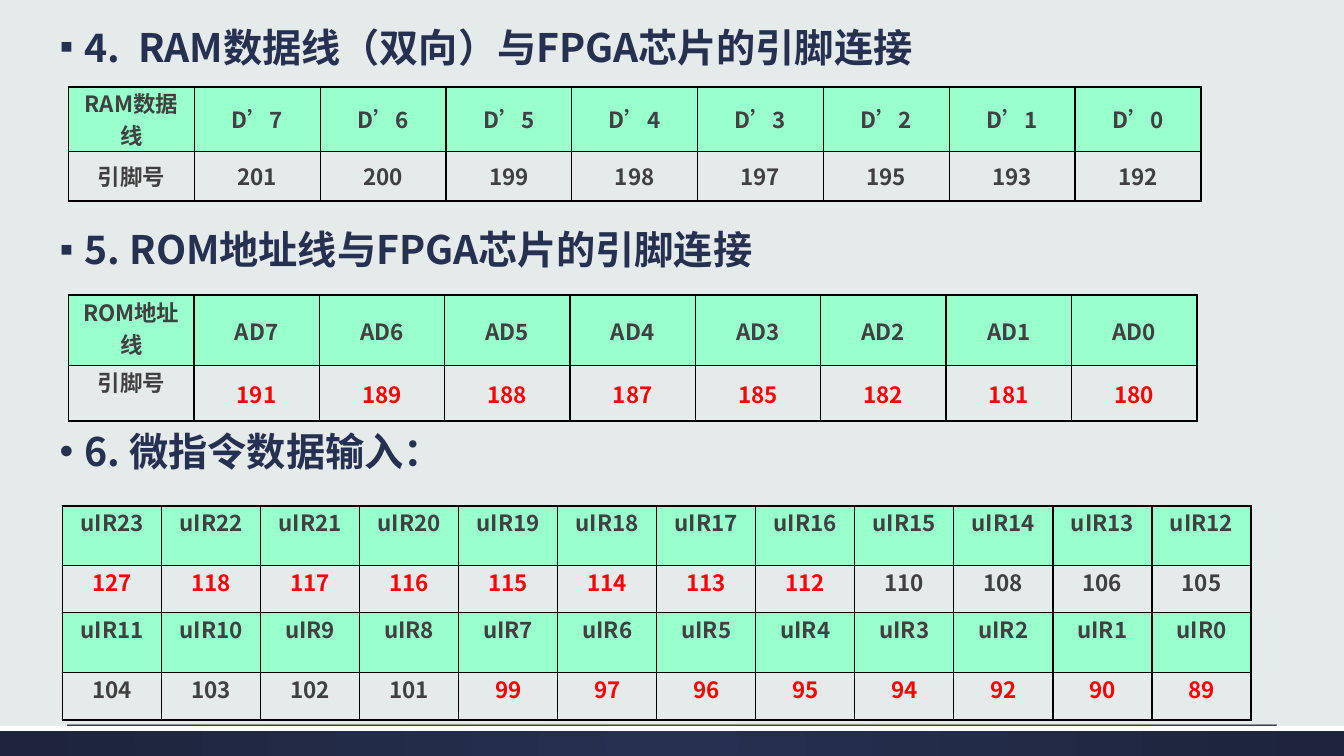
from itertools import groupby

from lxml import etree
from pptx import Presentation
from pptx.dml.color import RGBColor
from pptx.enum.shapes import MSO_CONNECTOR, MSO_SHAPE
from pptx.enum.text import MSO_ANCHOR, MSO_AUTO_SIZE, PP_ALIGN
from pptx.oxml.ns import qn
from pptx.util import Emu, Inches, Pt

TOP, MIDDLE = MSO_ANCHOR.TOP, MSO_ANCHOR.MIDDLE
LEFT, CENTER = PP_ALIGN.LEFT, PP_ALIGN.CENTER
RECTANGLE = MSO_SHAPE.RECTANGLE
STRAIGHT = MSO_CONNECTOR.STRAIGHT

PALE_GREY = RGBColor(0xE5, 0xEA, 0xEA)
NAVY = RGBColor(0x26, 0x30, 0x50)
DARK_NAVY = RGBColor(0x1D, 0x24, 0x3C)
WHITE = RGBColor(0xFF, 0xFF, 0xFF)
MINT = RGBColor(0x99, 0xFF, 0xCC)
CHARCOAL = RGBColor(0x40, 0x40, 0x40)
RED = RGBColor(0xFF, 0x00, 0x00)
RULE_GREY = RGBColor(0x90, 0x90, 0x90)

SANS, SERIF = "Noto Sans CJK SC", "Times New Roman"
SLIDE_WIDTH, SLIDE_HEIGHT = 13.33, 7.5
OUTER_LINE, INNER_LINE = 1.5, 1

HEADINGS = [
    ("▪", "4.  RAM数据线（双向）与FPGA芯片的引脚连接"),
    ("▪", "5. ROM地址线与FPGA芯片的引脚连接"),
    ("•", "6. 微指令数据输入："),
]
RAM_PINS = [
    ["RAM数据线"] + [f"D’{bit}" for bit in range(7, -1, -1)],
    ["引脚号", 201, 200, 199, 198, 197, 195, 193, 192],
]
ROM_PINS = [
    ["ROM地址线"] + [f"AD{bit}" for bit in range(7, -1, -1)],
    ["引脚号", 191, 189, 188, 187, 185, 182, 181, 180],
]
MICRO_PINS = [
    [f"uIR{bit}" for bit in range(23, 11, -1)],
    [127, 118, 117, 116, 115, 114, 113, 112, 110, 108, 106, 105],
    [f"uIR{bit}" for bit in range(11, -1, -1)],
    [104, 103, 102, 101, 99, 97, 96, 95, 94, 92, 90, 89],
]


def write(paragraph, text, size=16, color=CHARCOAL, align=CENTER, cjk_font=SANS):
    """Fill a paragraph, with one run for each stretch of Chinese or other text."""
    paragraph.alignment = align
    if cjk_font == SANS:
        pieces = [(False, text)]
    else:
        pieces = [(cjk, "".join(chars))
                  for cjk, chars in groupby(text, lambda char: char >= "一")]
    for cjk, piece in pieces:
        run = paragraph.add_run()
        run.text = piece
        run.font.size, run.font.bold = Pt(size), True
        run.font.color.rgb = color
        run.font.name = cjk_font if cjk else SANS
        east_asian = etree.SubElement(run.font._element, qn("a:ea"))
        east_asian.set("typeface", SANS)


def set_bullet(paragraph, symbol):
    properties = paragraph._p.get_or_add_pPr()
    properties.set("marL", str(Inches(0.3)))
    properties.set("indent", str(Inches(-0.25)))
    bullet_color = etree.SubElement(properties, qn("a:buClr"))
    etree.SubElement(bullet_color, qn("a:srgbClr")).set("val", str(NAVY))
    etree.SubElement(properties, qn("a:buChar")).set("char", symbol)


def fill_headings(body, left, top, width, height):
    """Space the three headings evenly so that a table fits below each."""
    body.left, body.top = Inches(left), Inches(top)
    body.width, body.height = Inches(width), Inches(height)
    frame = body.text_frame
    frame.auto_size, frame.vertical_anchor = MSO_AUTO_SIZE.NONE, TOP
    for index, (symbol, heading) in enumerate(HEADINGS):
        paragraph = frame.add_paragraph() if index else frame.paragraphs[0]
        paragraph.line_spacing = 0.8
        paragraph.space_before = Pt(117.5 if index else 0)
        set_bullet(paragraph, symbol)
        write(paragraph, heading, size=28, color=NAVY, align=LEFT)


def set_borders(cell, widths):
    properties = cell._tc.get_or_add_tcPr()
    for position, (side, width) in enumerate(widths.items()):
        line = etree.Element(qn(f"a:ln{side}"), w=str(Pt(width)))
        solid = etree.SubElement(line, qn("a:solidFill"))
        etree.SubElement(solid, qn("a:srgbClr")).set("val", "000000")
        properties.insert(position, line)


def add_pin_table(slide, pins, left, top, width, row_heights, is_red, anchor_of):
    """Add a table whose rows alternate between signal names and pin numbers."""
    last_row, last_column = len(pins) - 1, len(pins[0]) - 1
    table = slide.shapes.add_table(
        len(pins), len(pins[0]), Inches(left), Inches(top),
        Inches(width), Inches(sum(row_heights))).table
    table.first_row = table.horz_banding = False
    for column in table.columns:
        column.width = Emu(int(Inches(width) / len(pins[0])))
    for row, values in enumerate(pins):
        table.rows[row].height = Inches(row_heights[row])
        for column, value in enumerate(values):
            cell = table.cell(row, column)
            cell.margin_left = cell.margin_right = Inches(0.1)
            cell.margin_top = cell.margin_bottom = 0
            cell.vertical_anchor = anchor_of(column)
            if row % 2:
                cell.fill.background()
            else:
                cell.fill.solid()
                cell.fill.fore_color.rgb = MINT
            edges = {"L": column == 0, "R": column == last_column,
                     "T": row == 0, "B": row == last_row}
            set_borders(cell, {side: OUTER_LINE if outer else INNER_LINE
                               for side, outer in edges.items()})
            write(cell.text_frame.paragraphs[0], str(value),
                  color=RED if is_red(row, column) else CHARCOAL,
                  cjk_font=SANS if column else SERIF)


def add_bar(slide, top, height):
    bar = slide.shapes.add_shape(RECTANGLE, 0, Inches(top),
                                 Inches(SLIDE_WIDTH), Inches(height))
    bar.shadow.inherit = False
    bar.line.fill.background()
    return bar


def add_footer(slide, top, height):
    """Add the navy band, its white upper edge and the thin rule above."""
    band = add_bar(slide, top, height)
    band.fill.gradient()
    for stop, color in zip(band.fill.gradient_stops, (NAVY, DARK_NAVY)):
        stop.color.rgb = color
    gradient = band._element.spPr.find(qn("a:gradFill"))
    gradient.remove(gradient.find(qn("a:lin")))
    radial = etree.SubElement(gradient, qn("a:path"), path="circle")
    etree.SubElement(radial, qn("a:fillToRect"),
                     dict.fromkeys("ltrb", "50000"))
    edge = add_bar(slide, top, height / 6)
    edge.fill.solid()
    edge.fill.fore_color.rgb = WHITE
    rule = slide.shapes.add_connector(
        STRAIGHT, Inches(SLIDE_WIDTH * 0.05), Inches(top - 0.01),
        Inches(SLIDE_WIDTH * 0.95), Inches(top - 0.01))
    rule.line.color.rgb, rule.line.width = RULE_GREY, Pt(0.75)
    etree.SubElement(rule._element.spPr, qn("a:effectLst"))


def build_pin_slide(presentation):
    slide = presentation.slides.add_slide(presentation.slide_layouts[1])
    slide.background.fill.solid()
    slide.background.fill.fore_color.rgb = PALE_GREY
    title, body = slide.placeholders
    title._element.getparent().remove(title._element)
    add_footer(slide, 7.2, 0.3)
    fill_headings(body, 0.44, 0.27, 12.74, 6.3)
    add_pin_table(slide, RAM_PINS, 0.68, 0.86, 11.23, [0.62, 0.49],
                  is_red=lambda row, column: False,
                  anchor_of=lambda column: MIDDLE)
    add_pin_table(slide, ROM_PINS, 0.68, 2.93, 11.19, [0.7, 0.55],
                  is_red=lambda row, column: row == 1 and column > 0,
                  anchor_of=lambda column: MIDDLE if column else TOP)
    add_pin_table(slide, MICRO_PINS, 0.62, 5.02, 11.79, [0.59, 0.47] * 2,
                  is_red=lambda row, column: (row == 1 and column < 8
                                              or row == 3 and column > 3),
                  anchor_of=lambda column: TOP)


def main():
    presentation = Presentation()
    presentation.slide_width = Inches(SLIDE_WIDTH)
    presentation.slide_height = Inches(SLIDE_HEIGHT)
    build_pin_slide(presentation)
    presentation.save("out.pptx")


if __name__ == "__main__":
    main()
